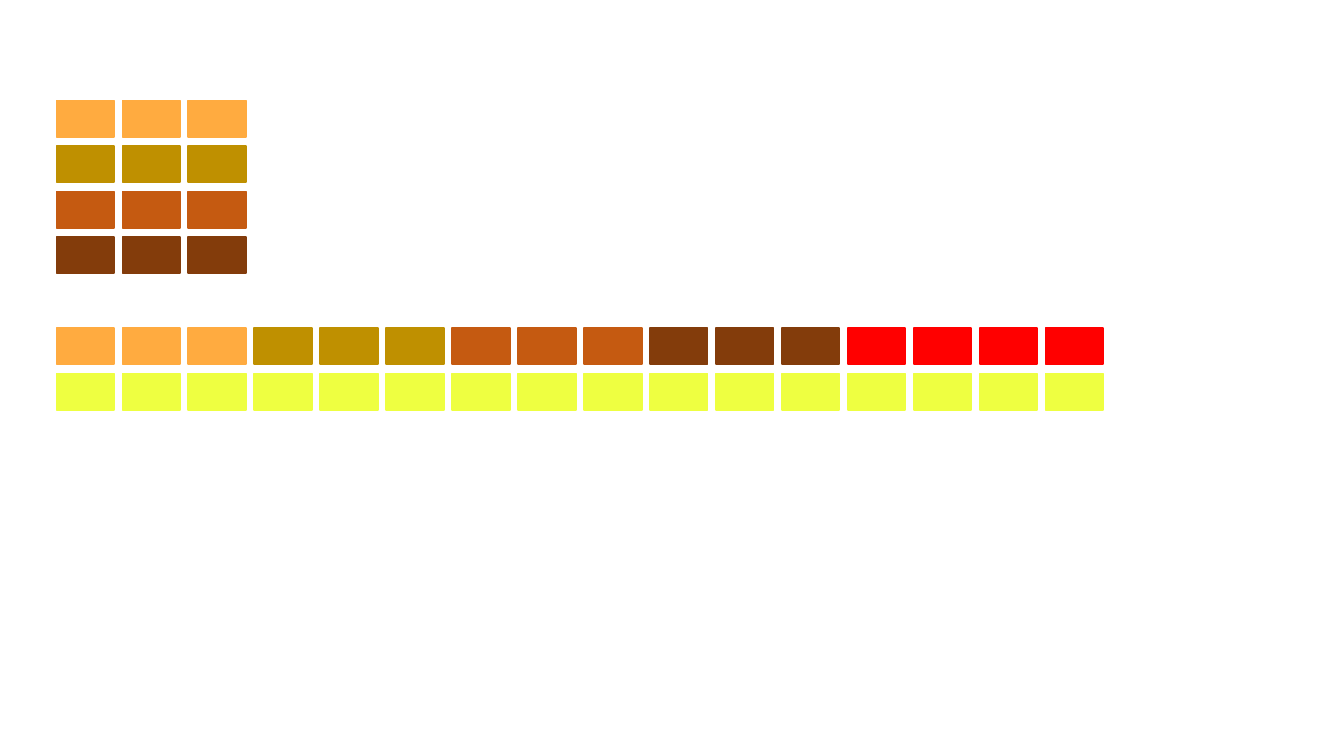
from pptx import Presentation
from pptx.dml.color import RGBColor
from pptx.enum.shapes import MSO_SHAPE
from pptx.util import Cm, Pt

RECTANGLE = MSO_SHAPE.RECTANGLE

GROUP_COLORS = ["FFAB40", "BF9000", "C55A11", "833C0B"]
EXTRA_COLOR = "FF0000"
BOTTOM_COLOR = "EEFF41"
GROUP_SIZE = 3
EXTRA_COUNT = 4

# Grid in centimetres
LEFT, LAST_LEFT, TOP = 1.07, 19.76, 1.9
ROW_PITCH = 0.86
CELL_WIDTH, CELL_HEIGHT = 1.09, 0.69
SEQUENCE_ROW = 5

sequence_colors = [color for color in GROUP_COLORS for _ in range(GROUP_SIZE)]
sequence_colors += [EXTRA_COLOR] * EXTRA_COUNT
column_pitch = (LAST_LEFT - LEFT) / (len(sequence_colors) - 1)

presentation = Presentation()
presentation.slide_width = Cm(25.4)
presentation.slide_height = Cm(14.29)
slide = presentation.slides.add_slide(presentation.slide_layouts[6])


def add_cell(column, row, color):
    """Draw one coloured cell at a grid position."""
    shape = slide.shapes.add_shape(
        RECTANGLE,
        Cm(LEFT + column * column_pitch), Cm(TOP + row * ROW_PITCH),
        Cm(CELL_WIDTH), Cm(CELL_HEIGHT),
    )
    shape.shadow.inherit = False
    shape.fill.solid()
    shape.fill.fore_color.rgb = RGBColor.from_string(color)
    shape.line.color.rgb = RGBColor.from_string(color)
    shape.line.width = Pt(1)


# Block with one row per group
for row, color in enumerate(GROUP_COLORS):
    for column in range(GROUP_SIZE):
        add_cell(column, row, color)

# Groups laid end to end, above a row of the same length
for column, color in enumerate(sequence_colors):
    add_cell(column, SEQUENCE_ROW, color)
    add_cell(column, SEQUENCE_ROW + 1, BOTTOM_COLOR)

presentation.save("out.pptx")
